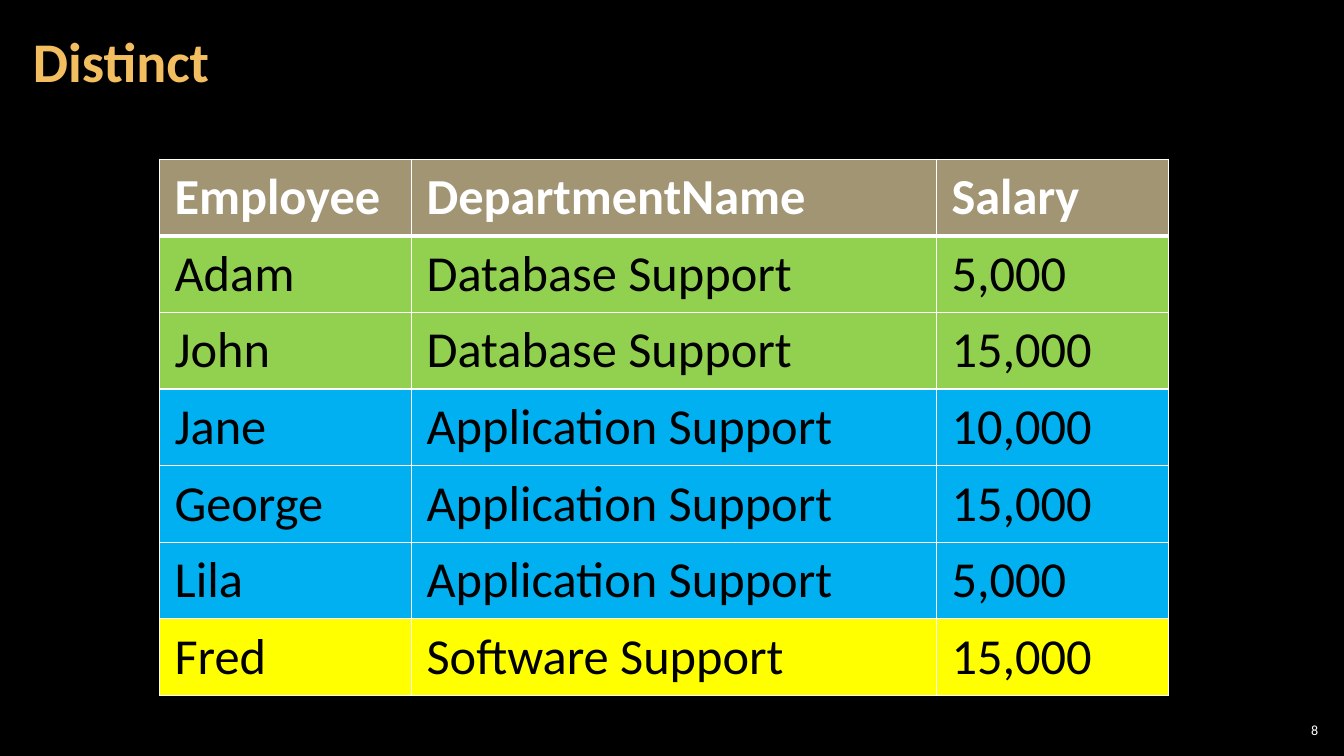
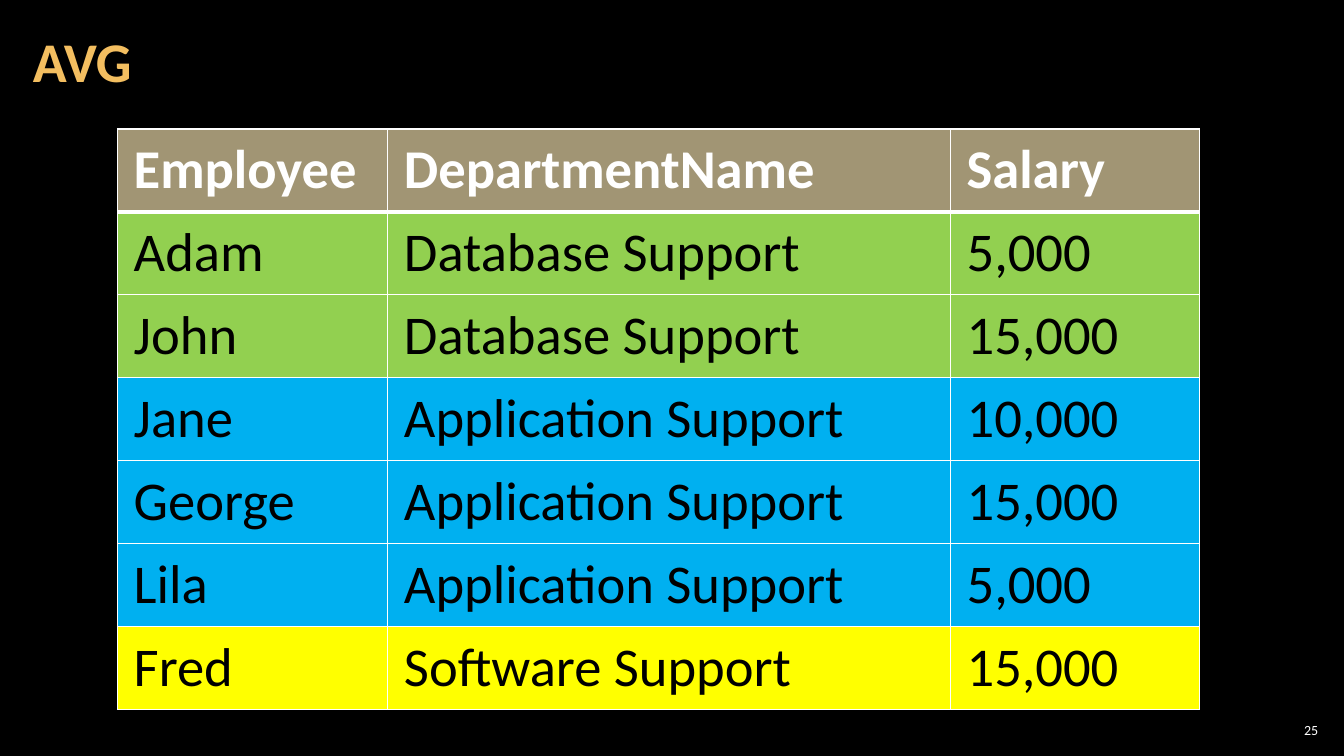
from dataclasses import dataclass

from lxml import etree
from pptx import Presentation
from pptx.dml.color import RGBColor
from pptx.enum.text import MSO_ANCHOR, PP_ALIGN
from pptx.oxml.ns import qn
from pptx.util import Cm, Pt

LEFT, RIGHT = PP_ALIGN.LEFT, PP_ALIGN.RIGHT
MIDDLE = MSO_ANCHOR.MIDDLE

HEADER = ("Employee", "DepartmentName", "Salary")
EMPLOYEES = [
    ("Adam", "Database Support", "5,000"),
    ("John", "Database Support", "15,000"),
    ("Jane", "Application Support", "10,000"),
    ("George", "Application Support", "15,000"),
    ("Lila", "Application Support", "5,000"),
    ("Fred", "Software Support", "15,000"),
]
DEPARTMENT_FILLS = {
    "Database Support": "92D050",
    "Application Support": "00B0F0",
    "Software Support": "FFFF00",
}
SLIDES = [
    dict(title="Distinct", number="8", left=4.02, top=4.01,
         columns=(6.35, 13.23, 5.84), row_height=1.93, size=36, inset=(0.38, 0.19)),
    dict(title="AVG", number="25", left=2.96, top=3.25,
         columns=(6.81, 14.18, 6.27), row_height=2.09, size=39, inset=(0.41, 0.2)),
]


@dataclass(frozen=True)
class Theme:
    font: str = "Calibri"
    background: str = "000000"
    title: str = "F3BE60"
    light: str = "FFFFFF"
    dark: str = "000000"
    header: str = "A19574"
    title_size: int = 40
    number_size: int = 10
    border: int = 1
    header_border: int = 3


THEME = Theme()


def write(tf, text, size, color, bold=False, align=LEFT, spacing=None):
    p = tf.paragraphs[0]
    p.alignment = align
    p.line_spacing = spacing
    r = p.add_run()
    r.text = text
    r.font.name = THEME.font
    r.font.size = Pt(size)
    r.font.bold = bold
    r.font.color.rgb = RGBColor.from_string(color)


def add_text(s, text, box, inset, **style):
    tf = s.shapes.add_textbox(*map(Cm, box)).text_frame
    tf.word_wrap = True
    tf.vertical_anchor = MIDDLE
    tf.margin_left = tf.margin_right = Cm(inset)
    tf.margin_top = tf.margin_bottom = Cm(0.1)
    write(tf, text, **style)


def set_borders(cell, top, bottom):
    tcPr = cell._tc.get_or_add_tcPr()
    widths = dict(lnL=THEME.border, lnR=THEME.border, lnT=top, lnB=bottom)
    for tag, width in widths.items():
        ln = etree.SubElement(tcPr, qn(f"a:{tag}"), w=str(Pt(width)))
        fill = etree.SubElement(ln, qn("a:solidFill"))
        etree.SubElement(fill, qn("a:srgbClr"), val=THEME.light)


def add_employee_table(s, left, top, columns, row_height, size, inset):
    rows = [HEADER, *EMPLOYEES]
    box = (left, top, sum(columns), row_height * len(rows))
    table = s.shapes.add_table(len(rows), len(columns), *map(Cm, box)).table
    table.horz_banding = False
    for column, width in zip(table.columns, columns):
        column.width = Cm(width)
    for i, row in enumerate(rows):
        is_header = i == 0
        fill = THEME.header if is_header else DEPARTMENT_FILLS[row[1]]
        color = THEME.light if is_header else THEME.dark
        for j, text in enumerate(row):
            cell = table.cell(i, j)
            cell.margin_left = cell.margin_right = Cm(inset[0])
            cell.margin_top = cell.margin_bottom = Cm(inset[1])
            set_borders(cell,
                        top=THEME.header_border if i == 1 else THEME.border,
                        bottom=THEME.header_border if is_header else THEME.border)
            cell.fill.solid()
            cell.fill.fore_color.rgb = RGBColor.from_string(fill)
            write(cell.text_frame, text, size, color, bold=is_header)


def add_slide(prs, title, number, **table):
    s = prs.slides.add_slide(prs.slide_layouts[6])
    add_text(s, number, (32.13, 18.14, 1.19, 0.53), 0.1,
             size=THEME.number_size, color=THEME.light, align=RIGHT)
    add_text(s, title, (0.53, 0.1, 26.59, 3.07), 0.3,
             size=THEME.title_size, color=THEME.title, bold=True, spacing=0.9)
    add_employee_table(s, **table)


def main():
    prs = Presentation()
    prs.slide_width, prs.slide_height = Cm(33.87), Cm(19.05)
    background = prs.slide_master.background.fill
    background.solid()
    background.fore_color.rgb = RGBColor.from_string(THEME.background)
    for slide in SLIDES:
        add_slide(prs, **slide)
    prs.save("out.pptx")


if __name__ == "__main__":
    main()
